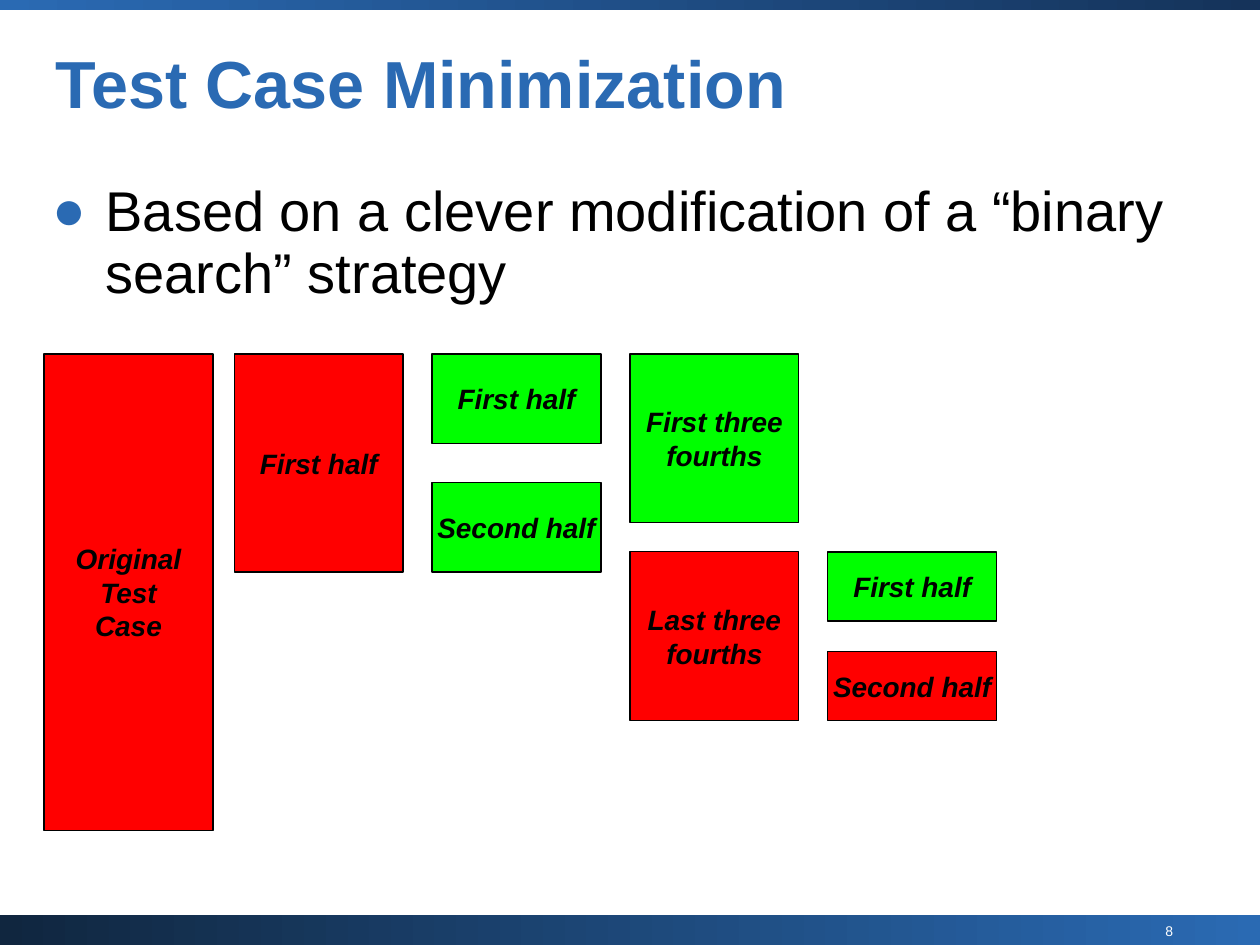
from dataclasses import dataclass
from lxml.etree import SubElement
from pptx import Presentation
from pptx.dml.color import RGBColor
from pptx.enum.shapes import MSO_SHAPE
from pptx.enum.text import MSO_ANCHOR, MSO_AUTO_SIZE, PP_ALIGN
from pptx.oxml.ns import qn
from pptx.util import Inches, Pt


@dataclass(frozen=True)
class Theme:
    font: str = "Arial"
    blue: str = "2A6AB3"
    navy: str = "10263F"
    dusk: str = "15335A"
    black: str = "000000"
    white: str = "FFFFFF"
    failing: str = "FF0000"
    passing: str = "00FF00"
    title_size: int = 38
    body_size: int = 32
    box_size: int = 16
    number_size: int = 8


theme = Theme()


def write(frame, lines, size, color, frame_format, paragraph_format, bold=False, italic=False):
    for name, value in frame_format.items():
        setattr(frame, name, value)
    for index, line in enumerate(lines):
        paragraph = frame.paragraphs[0] if index == 0 else frame.add_paragraph()
        for name, value in paragraph_format.items():
            setattr(paragraph, name, value)
        run = paragraph.add_run()
        run.text = line
        font_format = {"name": theme.font, "size": Pt(size), "bold": bold, "italic": italic}
        for name, value in font_format.items():
            setattr(run.font, name, value)
        run.font.color.rgb = RGBColor.from_string(color)


def add_box(left, top, width, height):
    shape = slide.shapes.add_shape(
        MSO_SHAPE.RECTANGLE, Inches(left), Inches(top), Inches(width), Inches(height)
    )
    shape.shadow.inherit = False
    return shape


presentation = Presentation()
presentation.slide_width, presentation.slide_height = Inches(10), Inches(7.5)
slide = presentation.slides.add_slide(presentation.slide_layouts[5])

bands = [
    (7.26, 0.24, theme.navy, theme.blue),
    (0, 0.08, theme.blue, theme.dusk),
]
for top, height, start, end in bands:
    band = add_box(0, top, 10, height)
    band.line.fill.background()
    band.fill.gradient()
    band.fill.gradient_angle = 0
    for stop, color in zip(band.fill.gradient_stops, (start, end)):
        stop.color.rgb = RGBColor.from_string(color)

number = slide.shapes.add_textbox(Inches(6.73), Inches(7.27), Inches(2.68), Inches(0.23))
write(number.text_frame, ["8"], theme.number_size, theme.white,
      {"word_wrap": True, "vertical_anchor": MSO_ANCHOR.MIDDLE},
      {"alignment": PP_ALIGN.RIGHT})

title = slide.shapes.title
title_place = {"left": 0.44, "top": 0.27, "width": 9.53, "height": 0.85}
for name, value in title_place.items():
    setattr(title, name, Inches(value))
no_margins = dict.fromkeys(("margin_left", "margin_top", "margin_right", "margin_bottom"), 0)
write(title.text_frame, ["Test Case Minimization"], theme.title_size, theme.blue,
      {"auto_size": MSO_AUTO_SIZE.NONE, "vertical_anchor": MSO_ANCHOR.MIDDLE, **no_margins},
      {"alignment": PP_ALIGN.LEFT, "line_spacing": 0.87}, bold=True)

body = slide.shapes.add_textbox(Inches(0.32), Inches(1.39), Inches(9.27), Inches(1.1))
write(body.text_frame, ["Based on a clever modification of a “binary search” strategy"],
      theme.body_size, theme.black, {"word_wrap": True}, {"line_spacing": 0.93})
properties = body.text_frame.paragraphs[0]._p.get_or_add_pPr()
properties.set("marL", str(Inches(0.42)))
properties.set("indent", str(-Inches(0.42)))
bullet_color = SubElement(properties, qn("a:buClr"))
SubElement(bullet_color, qn("a:srgbClr"), val=theme.blue)
SubElement(properties, qn("a:buFont"), typeface=theme.font)
SubElement(properties, qn("a:buChar"), char="●")

column_lefts = [0.35] + [1.86 + 1.57 * step for step in range(4)]
box_width = 1.34
first_row, second_row = 2.81, 4.38
test_cases = [
    (0, first_row, 3.78, theme.failing, ["Original", "Test", "Case"]),
    (1, first_row, 1.73, theme.failing, ["First half"]),
    (2, first_row, 0.71, theme.passing, ["First half"]),
    (2, 3.83, 0.71, theme.passing, ["Second half"]),
    (3, first_row, 1.34, theme.passing, ["First three", "fourths"]),
    (3, second_row, 1.34, theme.failing, ["Last three", "fourths"]),
    (4, second_row, 0.55, theme.passing, ["First half"]),
    (4, 5.17, 0.55, theme.failing, ["Second half"]),
]
for column, top, height, color, lines in test_cases:
    box = add_box(column_lefts[column], top, box_width, height)
    box.fill.solid()
    box.fill.fore_color.rgb = RGBColor.from_string(color)
    box.line.color.rgb = RGBColor.from_string(theme.black)
    box.line.width = Pt(0.75)
    write(box.text_frame, lines, theme.box_size, theme.black,
          {"word_wrap": False, "vertical_anchor": MSO_ANCHOR.MIDDLE},
          {"alignment": PP_ALIGN.CENTER}, bold=True, italic=True)

presentation.save("out.pptx")
